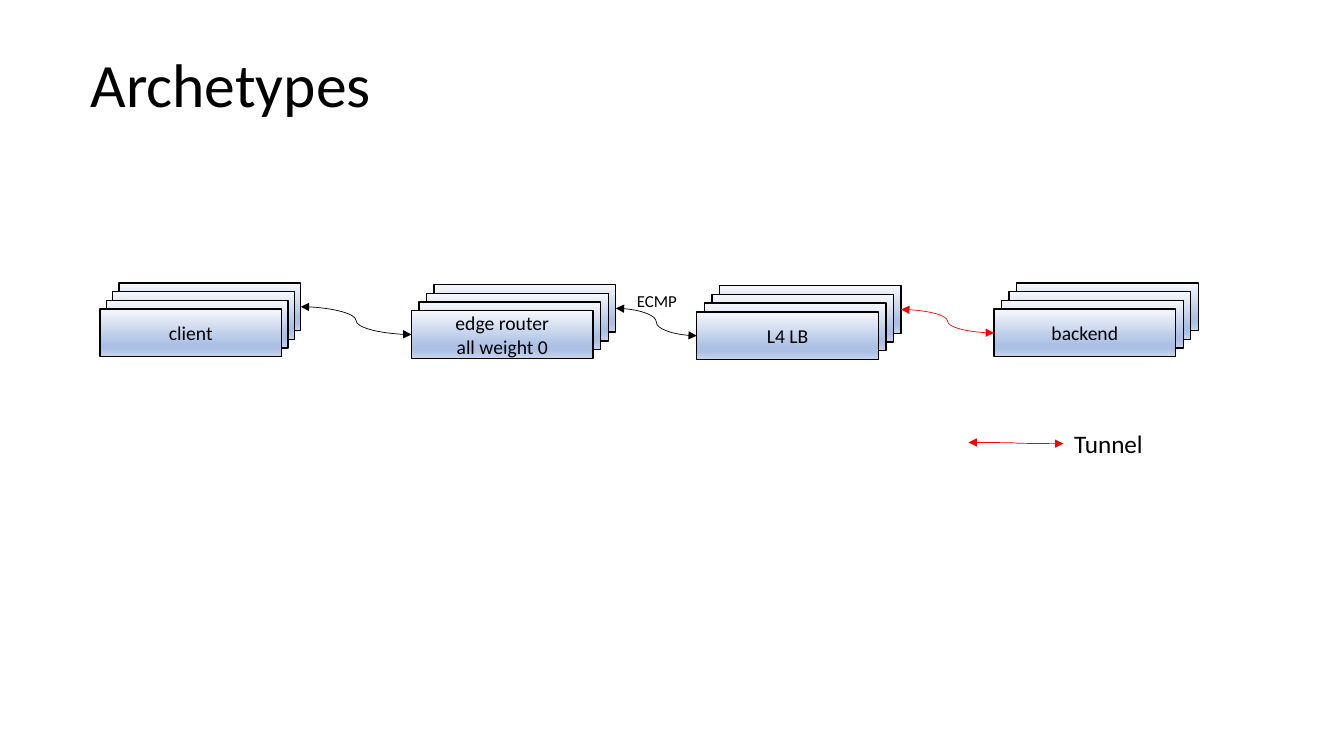
import dataclasses

import lxml.etree
import pptx
import pptx.dml.color
import pptx.enum.shapes
import pptx.enum.text
import pptx.oxml.ns
import pptx.util

Cm = pptx.util.Cm
Pt = pptx.util.Pt
qn = pptx.oxml.ns.qn
ANCHOR = pptx.enum.text.MSO_ANCHOR
ALIGN = pptx.enum.text.PP_ALIGN


@dataclasses.dataclass(frozen=True)
class Theme:
    font: str = "Calibri"
    black: str = "000000"
    tunnel: str = "FF0000"
    card_gradient: tuple = ((0, "F6F8FC"), (74, "ABC0E4"), (83, "ABC0E4"), (100, "C7D5ED"))
    title_size: float = 44
    legend_size: float = 18
    card_size: float = 14
    note_size: float = 12
    card_line: float = 1
    link_line: float = 0.5


class DiagramSlide:
    card_width, card_height = 4.58, 1.2
    cards_per_stack = 4
    rise = 0.22
    left_site, right_site = 1, 3

    def __init__(self, presentation, theme):
        self.theme = theme
        self.slide = presentation.slides.add_slide(presentation.slide_layouts[6])

    def add_lines(self, frame, lines, size, align=ALIGN.LEFT, spacing=None):
        for index, line in enumerate(lines):
            paragraph = frame.add_paragraph() if index else frame.paragraphs[0]
            paragraph.alignment = align
            if spacing:
                paragraph.line_spacing = spacing
            run = paragraph.add_run()
            run.text = line
            run.font.name = self.theme.font
            run.font.size = Pt(size)
            run.font.color.rgb = pptx.dml.color.RGBColor.from_string(self.theme.black)

    def title(self, text, left, top, width, height):
        box = self.slide.shapes.add_textbox(Cm(left), Cm(top), Cm(width), Cm(height))
        box.text_frame.word_wrap = True
        box.text_frame.vertical_anchor = ANCHOR.MIDDLE
        self.add_lines(box.text_frame, [text], self.theme.title_size, spacing=0.9)

    def label(self, text, left, top, width, height, size):
        box = self.slide.shapes.add_textbox(Cm(left), Cm(top), Cm(width), Cm(height))
        box.text_frame.word_wrap = False
        box.text_frame.auto_size = pptx.enum.text.MSO_AUTO_SIZE.SHAPE_TO_FIT_TEXT
        self.add_lines(box.text_frame, [text], size)

    def card(self, left, top):
        shape = self.slide.shapes.add_shape(
            pptx.enum.shapes.MSO_SHAPE.RECTANGLE,
            Cm(left), Cm(top), Cm(self.card_width), Cm(self.card_height))
        shape.shadow.inherit = False
        shape.line.color.rgb = pptx.dml.color.RGBColor.from_string(self.theme.black)
        shape.line.width = Pt(self.theme.card_line)
        shape.fill.gradient()
        shape.fill.gradient_angle = 270
        stops = next(shape.element.iter(qn("a:gsLst")))
        for stop in list(stops):
            stops.remove(stop)
        for percent, color in self.theme.card_gradient:
            stop = lxml.etree.SubElement(stops, qn("a:gs"), pos=str(percent * 1000))
            lxml.etree.SubElement(stop, qn("a:srgbClr"), val=color)
        return shape

    def stack(self, lines, left, top, shift):
        """Draw cards from back to front; left and top place the front card."""
        cards = [self.card(left + depth * shift, top - depth * self.rise)
                 for depth in reversed(range(self.cards_per_stack))]
        front = cards[-1]
        front.text_frame.word_wrap = True
        front.text_frame.vertical_anchor = ANCHOR.MIDDLE
        self.add_lines(front.text_frame, lines, self.theme.card_size, ALIGN.CENTER)
        return cards

    def arrow(self, color, start=(0, 0), end=(0, 0)):
        connector = self.slide.shapes.add_connector(
            pptx.enum.shapes.MSO_CONNECTOR.CURVE, *map(Cm, start + end))
        connector.line.color.rgb = pptx.dml.color.RGBColor.from_string(color)
        connector.line.width = Pt(self.theme.link_line)
        line = next(connector.element.iter(qn("a:ln")))
        for tip in ("a:headEnd", "a:tailEnd"):
            lxml.etree.SubElement(line, qn(tip), type="triangle")
        lxml.etree.SubElement(line.getparent(), qn("a:effectLst"))
        return connector

    def link(self, source, target, color):
        """Join the back card of one stack to the front card of the next."""
        connector = self.arrow(color)
        connector.begin_connect(source[0], self.right_site)
        connector.end_connect(target[-1], self.left_site)


def main():
    presentation = pptx.Presentation()
    presentation.slide_width, presentation.slide_height = Cm(33.87), Cm(19.05)
    theme = Theme()
    diagram = DiagramSlide(presentation, theme)

    diagram.title("Archetypes", 2.03, 0.36, 29.21, 3.68)
    client = diagram.stack(["client"], 2.52, 7.79, 0.16)
    router = diagram.stack(["edge router", "all weight 0"], 10.37, 7.83, 0.19)
    balancer = diagram.stack(["L4 LB"], 17.56, 7.86, 0.19)
    backend = diagram.stack(["backend"], 25.05, 7.79, 0.19)

    diagram.link(client, router, theme.black)
    diagram.link(router, balancer, theme.black)
    diagram.link(balancer, backend, theme.tunnel)
    diagram.label("ECMP", 15.8, 7.21, 1.52, 0.76, theme.note_size)

    diagram.arrow(theme.tunnel, (24.41, 11.15), (26.8, 11.18))
    diagram.label("Tunnel", 26.82, 10.67, 2.26, 1.02, theme.legend_size)
    presentation.save("out.pptx")


if __name__ == "__main__":
    main()
